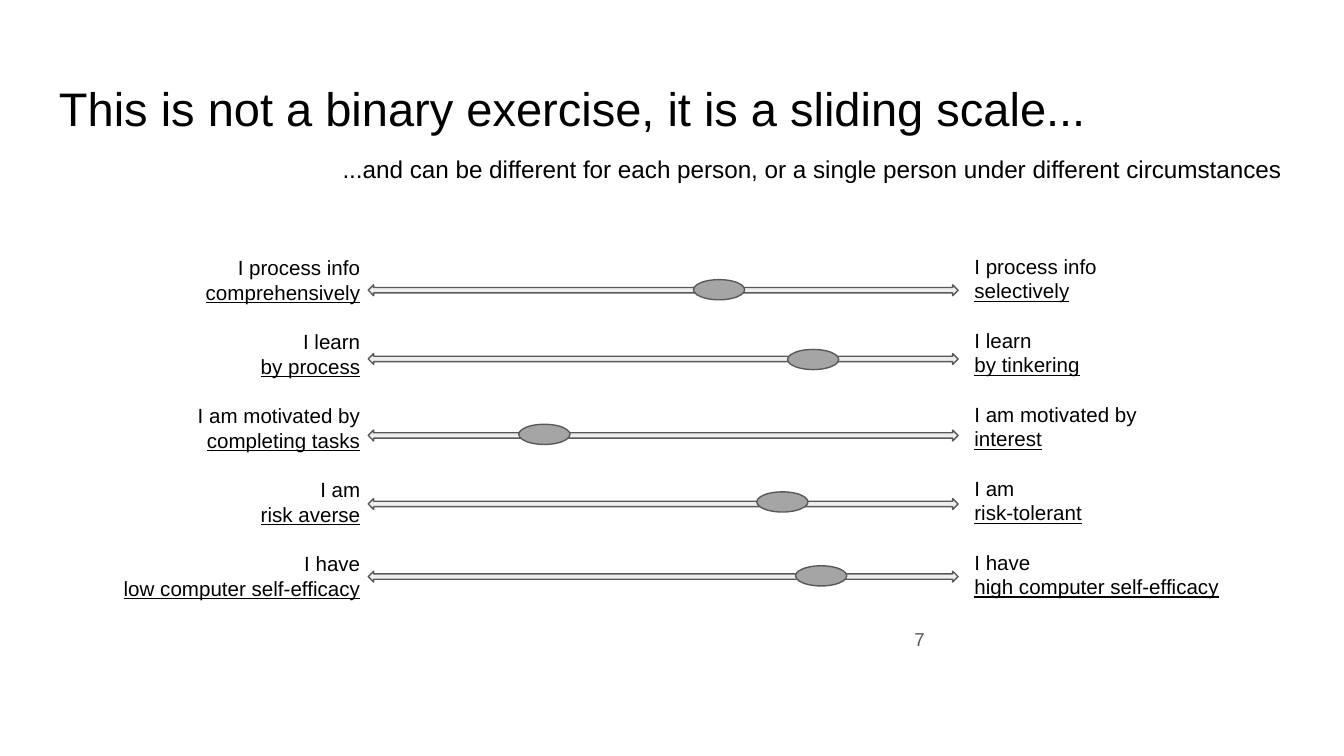
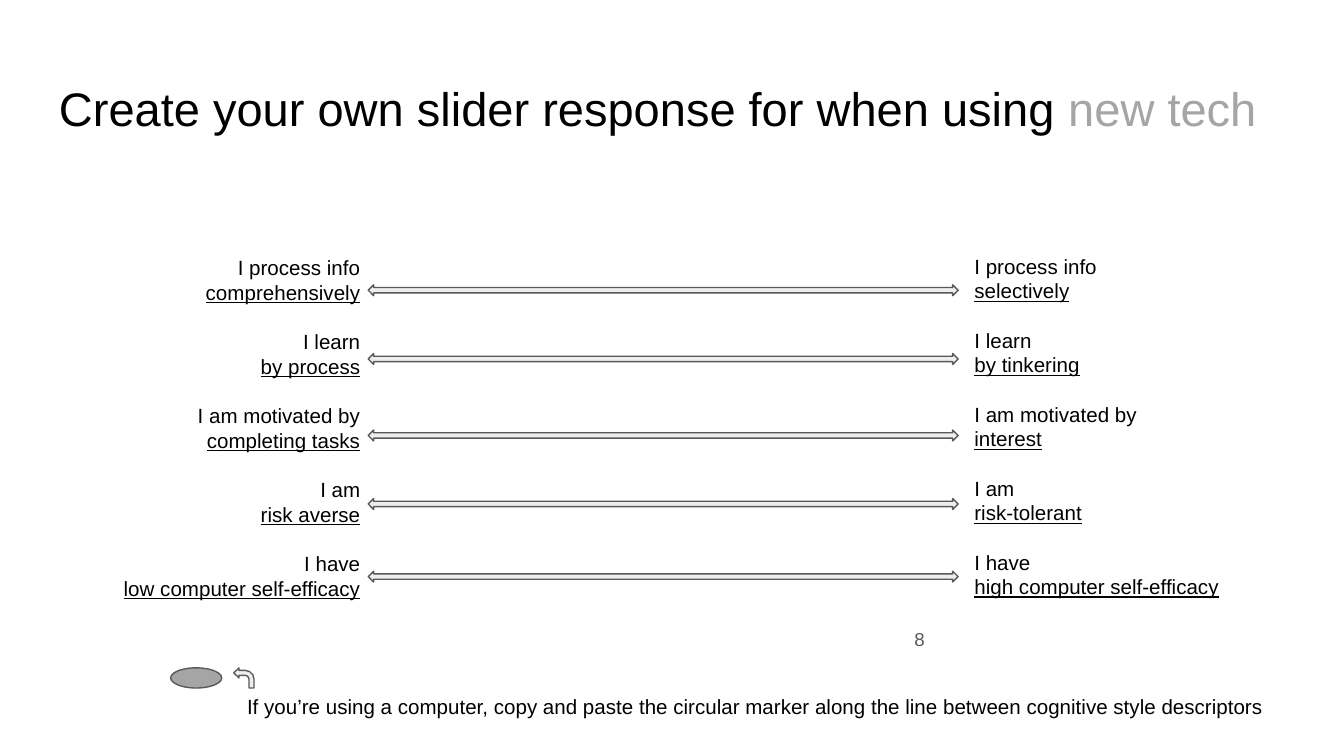
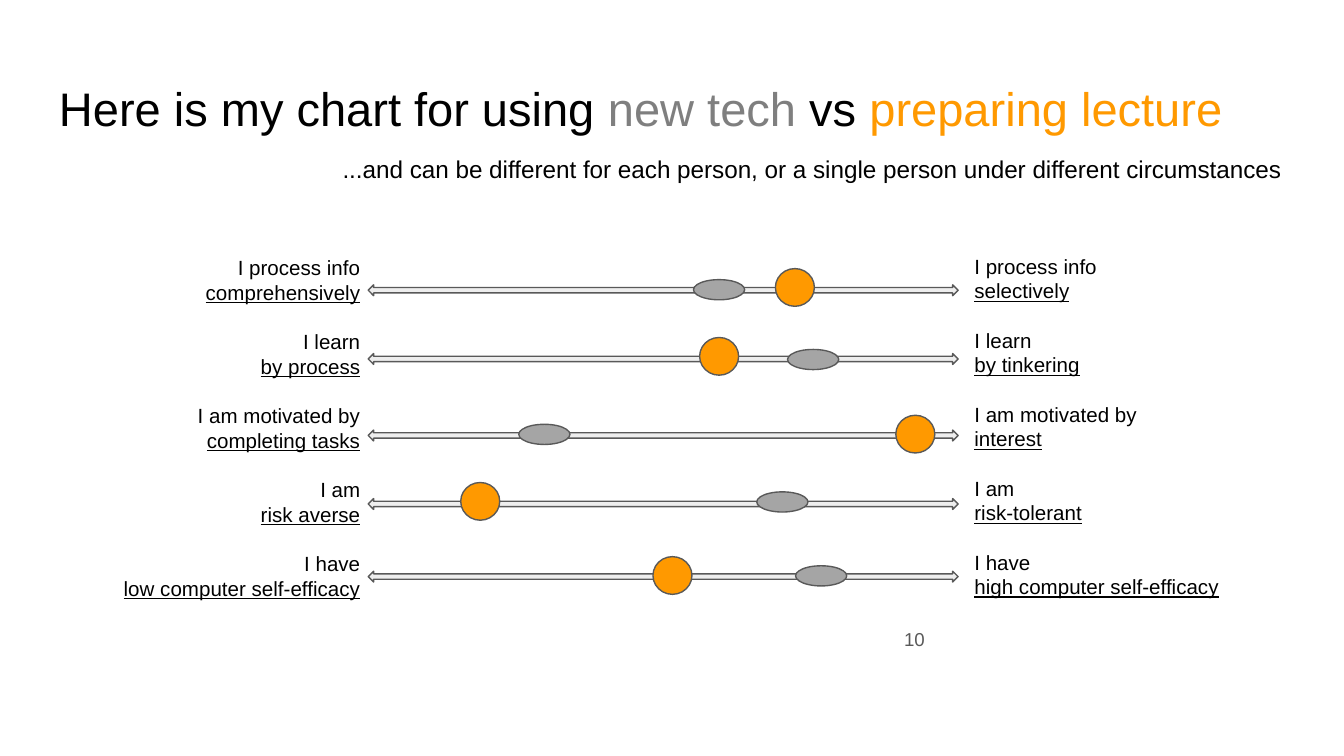
"""Build three slides that place cognitive styles on sliding scales."""
import pptx
import pptx.dml.color
import pptx.enum.shapes
import pptx.enum.text
import pptx.util

Pt = pptx.util.Pt
RGBColor = pptx.dml.color.RGBColor
Shape = pptx.enum.shapes.MSO_SHAPE
Align = pptx.enum.text.PP_ALIGN
Anchor = pptx.enum.text.MSO_ANCHOR

BLACK = RGBColor(0x00, 0x00, 0x00)
OUTLINE = RGBColor(0x59, 0x59, 0x59)
TRACK = RGBColor(0xEE, 0xEE, 0xEE)
GRAY = RGBColor(0xA5, 0xA5, 0xA5)
DARK_GRAY = RGBColor(0x7F, 0x7F, 0x7F)
ORANGE = RGBColor(0xFF, 0x99, 0x00)

FONT = "Arial"
LINE_RATIO = 1.2
LABEL_SIZE = 11
LABEL_LINE = LABEL_SIZE * LINE_RATIO
TRACK_LEFT, TRACK_WIDTH, TRACK_HEIGHT = 197.3, 316, 5.8
OVAL_WIDTH, OVAL_HEIGHT = 27.4, 10.8
CIRCLE_WIDTH, CIRCLE_HEIGHT = 20.9, 20.2

SUBTITLE = "...and can be different for each person, or a single person under different circumstances"
HINT = ("If you’re using a computer, copy and paste the circular marker "
        "along the line between cognitive style descriptors")
STYLES = [
    ("I process info", "comprehensively", "selectively"),
    ("I learn", "by process", "by tinkering"),
    ("I am motivated by", "completing tasks", "interest"),
    ("I am", "risk averse", "risk-tolerant"),
    ("I have", "low computer self-efficacy", "high computer self-efficacy"),
]
LABEL_COLUMNS = [
    (1, 47.5, 131.8, 150.5, 211, Align.RIGHT),
    (2, 517, 131, 154.8, 224, Align.LEFT),
]
TRACK_TOPS = [152.6, 189.4, 230.4, 267.1, 306]
NEW_TECH = [(371.5, 149.8), (421.9, 187.2), (277.9, 227.3), (405.4, 263.5), (426.2, 303.1)]
LECTURE = [(415.4, 143.9), (374.8, 180.8), (479.9, 222.5), (246.8, 258.5), (349.8, 298.2)]
SLIDES = [
    ("7", [("This is not a binary exercise, it is a sliding scale...", BLACK)], True, False),
    ("8", [("Create your own slider response for when using ", BLACK), ("new tech", GRAY)],
     False, False),
    ("10", [("Here is my chart for using ", BLACK), ("new tech", DARK_GRAY), (" vs ", BLACK),
            ("preparing lecture", ORANGE)], True, True),
]


def add_text(slide, box, lines, size, inset=7.2, align=Align.LEFT):
    """Add a text box; each line is a list of (text, colour) runs."""
    text_frame = slide.shapes.add_textbox(*map(Pt, box)).text_frame
    text_frame.word_wrap = True
    text_frame.margin_left = text_frame.margin_right = Pt(inset)
    text_frame.margin_top = text_frame.margin_bottom = Pt(inset)
    for index, runs in enumerate(lines):
        paragraph = text_frame.add_paragraph() if index else text_frame.paragraphs[0]
        paragraph.alignment = align
        paragraph.line_spacing = Pt(size * LINE_RATIO)
        for text, color in runs:
            run = paragraph.add_run()
            run.text = text
            run.font.name = FONT
            run.font.size = Pt(size)
            run.font.color.rgb = color
    return text_frame


def add_outlined(slide, kind, box, fill):
    """Add a filled preset shape with the common thin outline."""
    shape = slide.shapes.add_shape(kind, *map(Pt, box))
    shape.shadow.inherit = False
    shape.fill.solid()
    shape.fill.fore_color.rgb = fill
    shape.line.color.rgb = OUTLINE
    shape.line.width = Pt(0.75)
    return shape


presentation = pptx.Presentation()
presentation.slide_width = Pt(720)
presentation.slide_height = Pt(405)

for number, title, has_answers, has_lecture in SLIDES:
    slide = presentation.slides.add_slide(presentation.slide_layouts[6])
    add_text(slide, (24.5, 35.3, 671, 45.4), [title], 25.2)

    number_frame = add_text(slide, (387.4, 335.5, 113, 15.8), [[(number, OUTLINE)]], 10,
                            align=Align.RIGHT)
    number_frame.vertical_anchor = Anchor.MIDDLE
    number_frame.margin_left = number_frame.margin_right = Pt(5)
    number_frame.margin_top = number_frame.margin_bottom = Pt(2.9)
    number_frame.paragraphs[0].line_spacing = 0.8

    for top in TRACK_TOPS:
        add_outlined(slide, Shape.LEFT_RIGHT_ARROW,
                     (TRACK_LEFT, top, TRACK_WIDTH, TRACK_HEIGHT), TRACK)

    for side, left, top, width, height, align in LABEL_COLUMNS:
        lines = [[(text, BLACK)] for style in STYLES for text in (style[0], style[side])]
        label_frame = add_text(slide, (left, top, width, height), lines, LABEL_SIZE, 5, align)
        for paragraph in label_frame.paragraphs[1::2]:
            paragraph.runs[0].font.underline = True
        for paragraph in label_frame.paragraphs[2::2]:
            paragraph.space_before = Pt(LABEL_LINE)

    if has_answers:
        for left, top in NEW_TECH:
            add_outlined(slide, Shape.OVAL, (left, top, OVAL_WIDTH, OVAL_HEIGHT), GRAY)
        add_text(slide, (176.4, 75.6, 524.2, 45.4), [[(SUBTITLE, BLACK)]], 13)
    else:
        add_outlined(slide, Shape.OVAL, (91.4, 357.8, OVAL_WIDTH, OVAL_HEIGHT), GRAY)
        arrow = add_outlined(slide, Shape.BENT_ARROW, (125.3, 357.8, 10.8, 10.8), TRACK)
        arrow.adjustments[3] = 0.44
        arrow._element.spPr.xfrm.set("flipH", "1")
        add_text(slide, (125.3, 365, 576, 28), [[(HINT, BLACK)]], LABEL_SIZE)

    if has_lecture:
        for left, top in LECTURE:
            add_outlined(slide, Shape.OVAL, (left, top, CIRCLE_WIDTH, CIRCLE_HEIGHT), ORANGE)

presentation.save("out.pptx")
